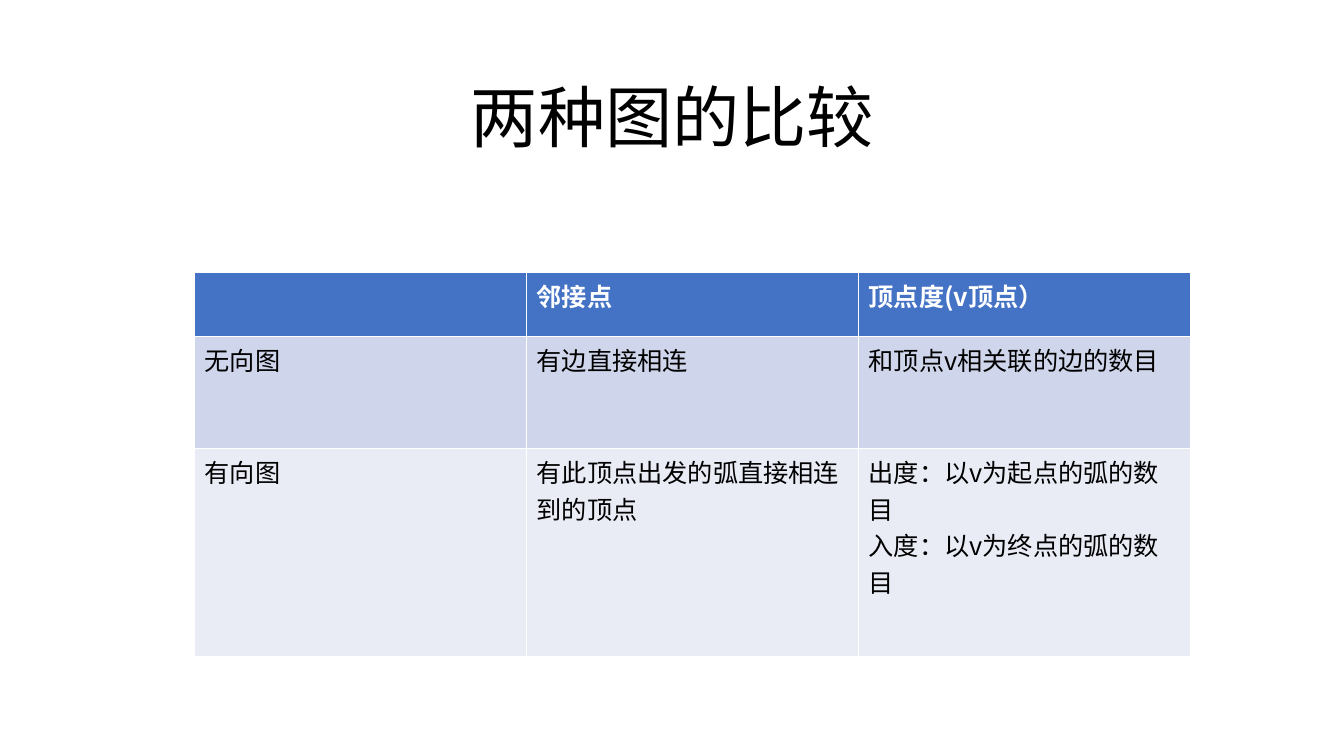
import pptx
import pptx.dml.color
import pptx.enum.text
import pptx.oxml.ns
import pptx.util
from lxml import etree
from pptx.util import Inches

FONT = "Noto Sans CJK SC"
BLACK = pptx.dml.color.RGBColor(0x00, 0x00, 0x00)
WHITE = pptx.dml.color.RGBColor(0xFF, 0xFF, 0xFF)
HEADER_BLUE = pptx.dml.color.RGBColor(0x44, 0x72, 0xC4)
BAND_DARK = pptx.dml.color.RGBColor(0xCF, 0xD5, 0xEA)
BAND_LIGHT = pptx.dml.color.RGBColor(0xE9, 0xEB, 0xF5)


def add_run(paragraph, text, size, color, bold=False):
    """Add a run whose Latin and East Asian fonts are both FONT."""
    run = paragraph.add_run()
    run.text = text
    run.font.size = pptx.util.Pt(size)
    run.font.bold = bold
    run.font.color.rgb = color
    run.font.name = FONT
    properties = run.font._element
    east_asian = etree.SubElement(properties, pptx.oxml.ns.qn("a:ea"))
    east_asian.set("typeface", FONT)


presentation = pptx.Presentation()
presentation.slide_width = Inches(13.33)
presentation.slide_height = Inches(7.5)
slide = presentation.slides.add_slide(presentation.slide_layouts[5])

title = slide.shapes.title
title.left, title.top = Inches(2.25), Inches(0.69)
title.width, title.height = Inches(8.84), Inches(0.91)
title.text_frame.auto_size = pptx.enum.text.MSO_AUTO_SIZE.NONE
title.text_frame.vertical_anchor = pptx.enum.text.MSO_ANCHOR.MIDDLE
title_paragraph = title.text_frame.paragraphs[0]
title_paragraph.alignment = pptx.enum.text.PP_ALIGN.CENTER
add_run(title_paragraph, "两种图的比较", 48, BLACK)

# Each row: height, fill, text colour, bold, and the lines of each cell
rows = [
    (0.64, HEADER_BLUE, WHITE, True, [[], ["邻接点"], ["顶点度(v顶点）"]]),
    (1.11, BAND_DARK, BLACK, False,
     [["无向图"], ["有边直接相连"], ["和顶点v相关联的边的数目"]]),
    (2.06, BAND_LIGHT, BLACK, False,
     [["有向图"], ["有此顶点出发的弧直接相连到的顶点"],
      ["出度：以v为起点的弧的数目", "入度：以v为终点的弧的数目"]]),
]
table = slide.shapes.add_table(
    len(rows), 3, Inches(1.93), Inches(2.7), Inches(9.88), Inches(3.81)
).table

for row_index, (height, fill, color, bold, cells) in enumerate(rows):
    table.rows[row_index].height = Inches(height)
    for column_index, lines in enumerate(cells):
        cell = table.cell(row_index, column_index)
        cell.fill.solid()
        cell.fill.fore_color.rgb = fill
        for line_index, line in enumerate(lines):
            text_frame = cell.text_frame
            paragraph = text_frame.add_paragraph() if line_index else text_frame.paragraphs[0]
            add_run(paragraph, line, 18, color, bold)

presentation.save("out.pptx")
